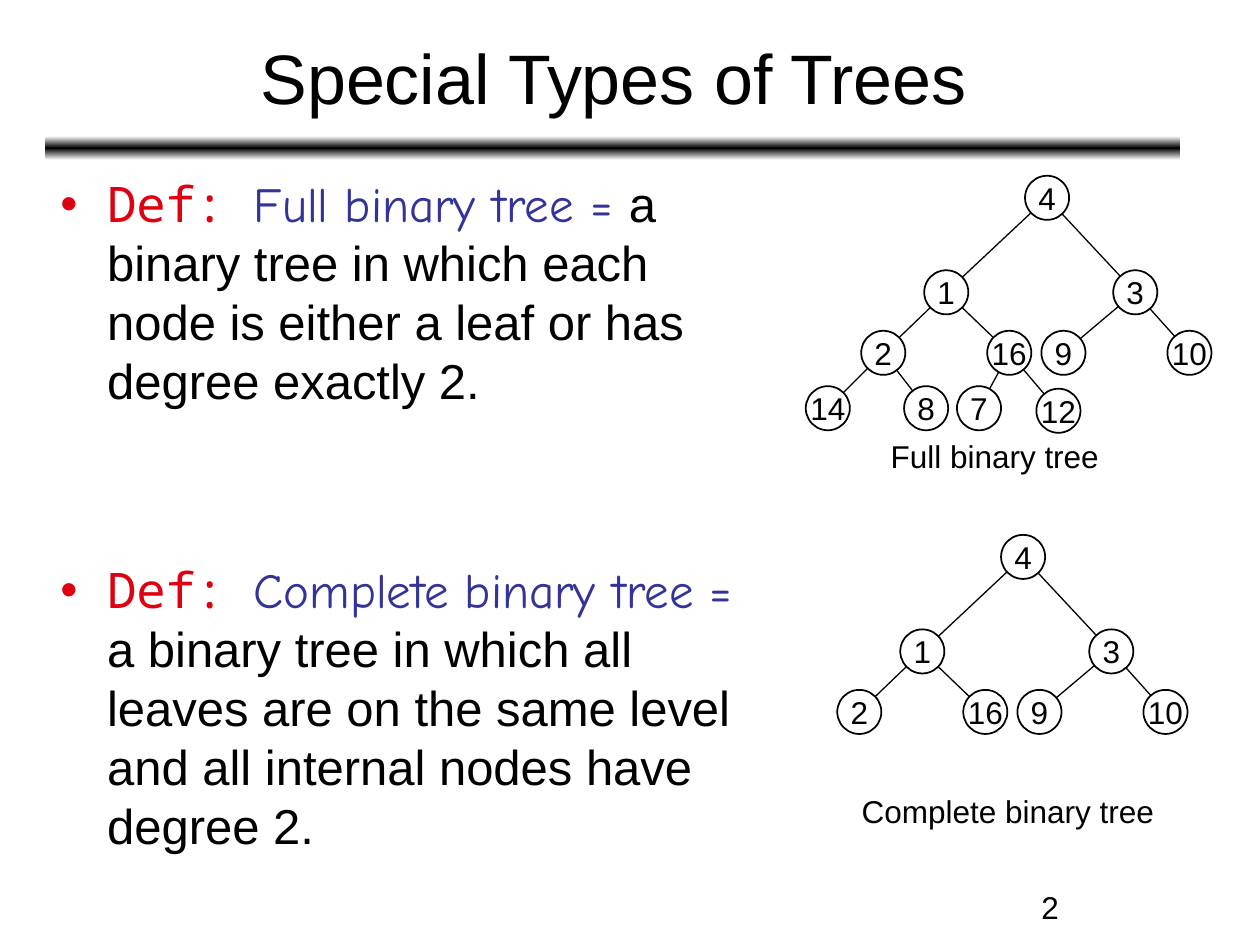
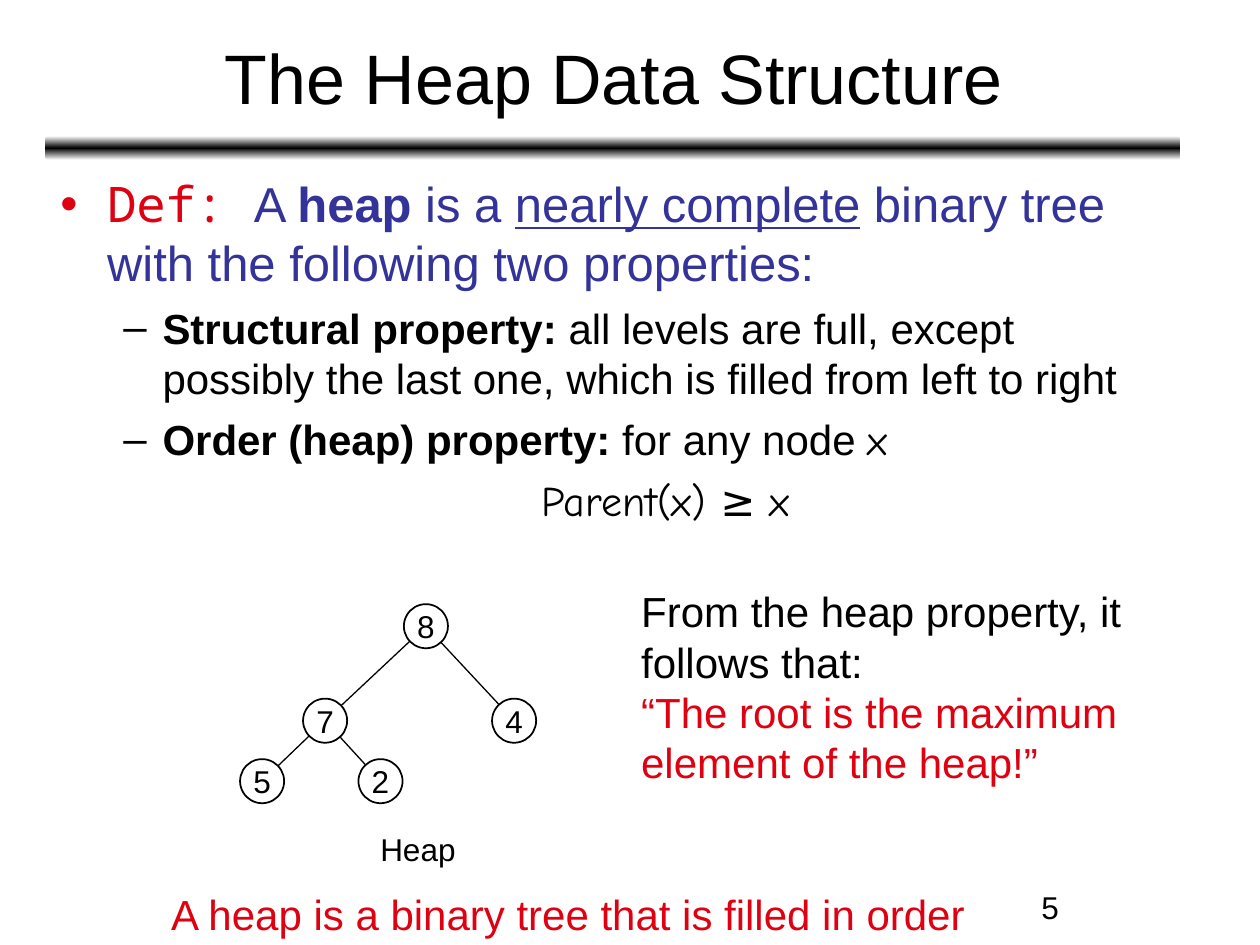
from copy import deepcopy

from pptx import Presentation
from pptx.dml.color import RGBColor
from pptx.enum.shapes import MSO_CONNECTOR, MSO_SHAPE
from pptx.enum.text import MSO_ANCHOR, MSO_AUTO_SIZE, PP_ALIGN
from pptx.oxml.ns import qn
from pptx.util import Inches, Pt

STRAIGHT = MSO_CONNECTOR.STRAIGHT
ELLIPSE, ROUNDED = MSO_SHAPE.OVAL, MSO_SHAPE.ROUNDED_RECTANGLE
MIDDLE = MSO_ANCHOR.MIDDLE
NO_FIT, GROW = MSO_AUTO_SIZE.NONE, MSO_AUTO_SIZE.SHAPE_TO_FIT_TEXT
LEFT, CENTER = PP_ALIGN.LEFT, PP_ALIGN.CENTER

BLACK, WHITE, RED, BLUE = "000000", "FFFFFF", "DD0111", "333399"
SANS, HAND, MONO = "Arial", "Comic Neue", "Noto Sans Mono"

NODE_SIZE = 0.35
NODE_OFFSETS = [
    (0, 0),
    (-0.8, 0.75), (0.7, 0.75),
    (-1.3, 1.23), (-0.3, 1.23), (0.13, 1.23), (1.13, 1.23),
    (-1.74, 1.67), (-0.96, 1.67), (-0.54, 1.67), (0.09, 1.69),
]
HEAP_OFFSETS = NODE_OFFSETS[:4] + [(-0.36, 1.23)]

DEF = ("Def: ", {"name": MONO, "color": RED})
BULLET = {"size": 28, "margin": 0.37, "hanging": 0.37, "mark": "•", "mark_color": RED}
DASH = {"size": 24, "level": 1, "margin": 0.81, "hanging": 0.31, "before": 6, "mark": "–"}


def rgb(hex_color):
    """Turn a hex string into a colour."""
    return RGBColor.from_string(hex_color)


def set_font(font, size=None, color=None, name=None, bold=None, underline=None):
    """Apply the given font settings, leaving the others inherited."""
    if size:
        font.size = Pt(size)
    if color:
        font.color.rgb = rgb(color)
    if name:
        font.name = name
    if bold:
        font.bold = True
    if underline:
        font.underline = True


def place(shape, box):
    """Move a shape to a left, top, width, height box in inches."""
    shape.left, shape.top, shape.width, shape.height = map(Inches, box)


def add_label(slide, box, lines, size=18, align=LEFT, wrap=True):
    """Add a text box holding (text, colour) lines."""
    label = slide.shapes.add_textbox(*map(Inches, box))
    frame = label.text_frame
    frame.word_wrap = wrap
    frame.auto_size = GROW
    for index, (text, color) in enumerate(lines):
        paragraph = frame.add_paragraph() if index else frame.paragraphs[0]
        paragraph.text = text
        paragraph.alignment = align
        set_font(paragraph.font, size, color, SANS)


def add_band(layout, slide):
    """Put the shaded band below the title on the layout."""
    band = slide.shapes.add_shape(ROUNDED, *map(Inches, (0.36, 1.08, 9.01, 0.19)))
    band.shadow.inherit = False
    band.line.fill.background()
    band.fill.gradient()
    band.fill.gradient_angle = 90
    stops = band.element.find(".//" + qn("a:gsLst"))
    stops.append(deepcopy(stops[0]))
    for stop, position, color in zip(band.fill.gradient_stops, (0, 0.5, 1), (WHITE, BLACK, WHITE)):
        stop.position = position
        stop.color.rgb = rgb(color)
    layout.shapes.element.insert(2, band.element)


def fill_frame(slide, title, number):
    """Write the title and the page number."""
    heading = slide.shapes.title
    place(heading, (0.37, 0.11, 9, 0.99))
    frame = heading.text_frame
    frame.text = title
    frame.vertical_anchor = MIDDLE
    frame.auto_size = NO_FIT
    frame.paragraphs[0].alignment = CENTER
    set_font(frame.paragraphs[0].font, 40, BLACK, SANS)
    add_label(slide, (7.17, 7, 2.33, 0.35), [(number, BLACK)], align=CENTER)


def add_mark(paragraph, margin, hanging, mark, color):
    """Set the indent and the bullet mark of a paragraph."""
    props = paragraph._p.get_or_add_pPr()
    props.set("marL", str(Inches(margin)))
    props.set("indent", str(-Inches(hanging)))
    if not mark:
        props.append(props.makeelement(qn("a:buNone"), {}))
        return
    tint = props.makeelement(qn("a:buClr"), {})
    tint.append(tint.makeelement(qn("a:srgbClr"), {"val": color}))
    props.append(tint)
    props.append(props.makeelement(qn("a:buFont"), {"typeface": SANS}))
    props.append(props.makeelement(qn("a:buChar"), {"char": mark}))


def fill_body(slide, box, items):
    """Write the list items, each a style and its runs, in the body."""
    body = slide.placeholders[1]
    place(body, box)
    frame = body.text_frame
    frame.auto_size = NO_FIT
    for index, (style, runs) in enumerate(items):
        paragraph = frame.add_paragraph() if index else frame.paragraphs[0]
        paragraph.level = style.get("level", 0)
        paragraph.space_before = Pt(style.get("before", 0))
        add_mark(paragraph, style["margin"], style["hanging"],
                 style["mark"], style.get("mark_color", BLACK))
        set_font(paragraph.font, style["size"], BLACK, SANS)
        for text, font in runs:
            run = paragraph.add_run()
            run.text = text
            set_font(run.font, **font)


def add_edge(slide, parent, child):
    """Draw a line between two node centres."""
    edge = slide.shapes.add_connector(STRAIGHT, *map(Inches, parent + child))
    edge.line.color.rgb = rgb(BLACK)
    edge.line.width = Pt(0.75)
    props = edge.element.spPr
    props.append(props.makeelement(qn("a:effectLst"), {}))


def add_node(slide, center, value):
    """Draw a circled value."""
    x, y = center
    corner = (x - NODE_SIZE / 2, y - NODE_SIZE / 2)
    node = slide.shapes.add_shape(ELLIPSE, *map(Inches, corner + (NODE_SIZE, NODE_SIZE)))
    node.shadow.inherit = False
    node.fill.solid()
    node.fill.fore_color.rgb = rgb(WHITE)
    node.line.color.rgb = rgb(BLACK)
    node.line.width = Pt(1)
    frame = node.text_frame
    frame.word_wrap = False
    frame.vertical_anchor = MIDDLE
    paragraph = frame.paragraphs[0]
    paragraph.text = str(value)
    paragraph.alignment = CENTER
    set_font(paragraph.font, 18, BLACK, SANS)


def add_tree(slide, root, values, caption, caption_box, offsets=NODE_OFFSETS):
    """Draw a binary tree from its values in level order, placed from its root."""
    centers = [(root[0] + dx, root[1] + dy) for dx, dy in offsets[:len(values)]]
    for index in range(1, len(centers)):
        add_edge(slide, centers[(index - 1) // 2], centers[index])
    for center, value in zip(centers, values):
        add_node(slide, center, value)
    dx, dy, width, height = caption_box
    add_label(slide, (root[0] + dx, root[1] + dy, width, height),
              [(caption, BLACK)], wrap=False)


def build_tree_types(slide):
    """Build the slide that defines full and complete trees."""
    fill_frame(slide, "Special Types of Trees", "2")
    term = {"name": HAND, "color": BLUE}
    fill_body(slide, (0.38, 1.33, 5.79, 5.63), [
        (BULLET, [
            DEF, ("Full binary tree = ", term),
            ("a binary tree in which each node is either a leaf or has degree exactly 2.", {}),
        ]),
        ({**BULLET, "before": 86}, [
            DEF, ("Complete binary tree = ", term),
            ("a binary tree in which all leaves are on the same level "
             "and all internal nodes have degree 2.", {}),
        ]),
    ])
    add_tree(slide, (8.31, 1.57), [4, 1, 3, 2, 16, 9, 10, 14, 8, 7, 12],
             "Full binary tree", (-1.34, 1.85, 1.85, 0.4))
    add_tree(slide, (8.12, 4.42), [4, 1, 3, 2, 16, 9, 10],
             "Complete binary tree", (-1.38, 1.82, 2.52, 0.4))


def build_heap(slide):
    """Build the slide that defines the heap."""
    fill_frame(slide, "The Heap Data Structure", "5")
    blue, bold = {"color": BLUE}, {"bold": True}
    fill_body(slide, (0.38, 1.33, 9, 5.55), [
        (BULLET, [
            DEF, ("A ", blue), ("heap", {**blue, **bold}), (" is a ", blue),
            ("nearly complete", {**blue, "underline": True}),
            (" binary tree with the following two properties:", blue),
        ]),
        (DASH, [
            ("Structural property:", bold),
            (" all levels are full, except possibly the last one, "
             "which is filled from left to right", {}),
        ]),
        (DASH, [
            ("Order (heap) property:", bold), (" for any node ", {}), ("x", {"name": HAND}),
        ]),
        ({**DASH, "margin": 3.82, "hanging": 0, "mark": None},
         [("Parent(x) ≥ x", {"name": HAND})]),
    ])
    add_tree(slide, (3.38, 4.97), [8, 7, 4, 5, 2], "Heap",
             (-0.46, 1.57, 0.8, 0.4), HEAP_OFFSETS)
    add_label(slide, (4.99, 4.6, 4.11, 1.7), [
        ("From the heap property, it follows that:", BLACK),
        ("“The root is the maximum", RED),
        ("element of the heap!”", RED),
    ], size=24)
    add_label(slide, (1.26, 7, 6.79, 0.5),
              [("A heap is a binary tree that is filled in order", RED)], size=24)


def main():
    """Build and save the presentation."""
    deck = Presentation()
    deck.slide_width, deck.slide_height = Inches(10), Inches(7.5)
    layout = deck.slide_layouts[1]
    tree_types, heap = (deck.slides.add_slide(layout) for _ in range(2))
    add_band(layout, tree_types)
    build_tree_types(tree_types)
    build_heap(heap)
    deck.save("out.pptx")


if __name__ == "__main__":
    main()
